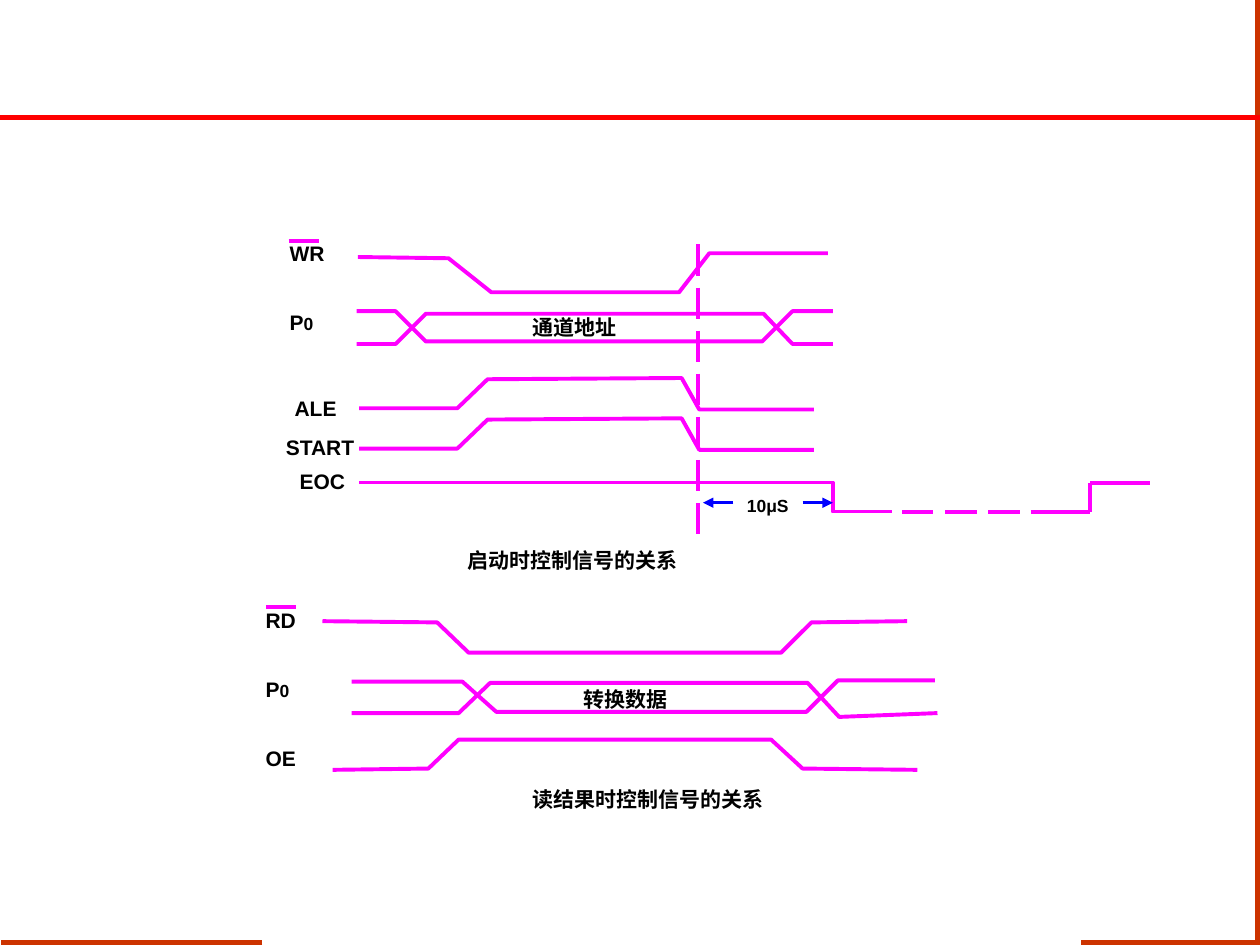
from pptx import Presentation
from pptx.dml.color import RGBColor
from pptx.enum.dml import MSO_LINE
from pptx.enum.shapes import MSO_CONNECTOR
from pptx.enum.text import MSO_AUTO_SIZE
from pptx.oxml.ns import qn
from pptx.util import Inches, Pt
from lxml import etree

STRAIGHT = MSO_CONNECTOR.STRAIGHT
LONG_DASH = MSO_LINE.LONG_DASH
GROW = MSO_AUTO_SIZE.SHAPE_TO_FIT_TEXT

THEME = {
    "font": "Arial",
    "text": RGBColor(0x00, 0x00, 0x00),
    "signal": (RGBColor(0xFF, 0x00, 0xFF), 2.25),
    "arrow": (RGBColor(0x00, 0x00, 0xFF), 1.5),
    "frame": (RGBColor(0xCC, 0x33, 0x00), 3),
    "rule": (RGBColor(0xFF, 0x00, 0x00), 3),
    "size": 12,
    "small": 10,
}
SIZE, SMALL = THEME["size"], THEME["small"]

# style, start x, start y, end x, end y
FRAME_LINES = [
    ("frame", 2.08, 7.48, 0.01, 7.48),
    ("frame", 9.98, 7.5, 9.98, 0),
    ("frame", 9.96, 7.48, 8.58, 7.48),
    ("rule", 10, 0.93, 0, 0.93),
]
OVERBARS = [
    ("signal", 2.29, 1.91, 2.53, 1.91),
    ("signal", 2.11, 4.82, 2.35, 4.82),
]
EOC_END = [
    ("signal", 8.18, 4.06, 8.65, 4.06),
    ("signal", 8.65, 3.83, 8.65, 4.06),
    ("signal", 8.65, 3.83, 9.13, 3.83),
]
DASHED_LINES = [
    ("signal", 7.16, 4.06, 8.1, 4.06),
    ("signal", 5.54, 1.94, 5.54, 4.3),
]
DELAY_ARROWS = [
    ("arrow", 5.82, 3.99, 5.58, 3.99),
    ("arrow", 6.37, 3.99, 6.61, 3.99),
]

ALE = [(2.85, 3.24), (3.63, 3.24), (3.87, 3.01), (5.41, 3), (5.55, 3.25), (6.46, 3.25)]
START_DROP = 0.32
WAVES = [
    # start of conversion: WR, P0 falling and rising, ALE, START, EOC
    [(2.84, 2.04), (3.56, 2.05), (3.9, 2.32), (5.39, 2.32), (5.63, 2.01), (6.57, 2.01)],
    [(2.83, 2.47), (3.14, 2.47), (3.38, 2.71), (6.05, 2.71), (6.29, 2.47), (6.61, 2.47)],
    [(2.83, 2.73), (3.14, 2.73), (3.38, 2.49), (6.06, 2.49), (6.29, 2.73), (6.61, 2.73)],
    ALE,
    [(x, y + START_DROP) for x, y in ALE],
    [(2.85, 3.83), (6.61, 3.83), (6.61, 4.06), (7.08, 4.06)],
    # reading the result: RD, P0 falling and rising, OE
    [(2.56, 4.93), (3.47, 4.94), (3.72, 5.18), (6.2, 5.18), (6.44, 4.94), (7.2, 4.93)],
    [(2.79, 5.41), (3.67, 5.41), (3.94, 5.65), (6.4, 5.65), (6.65, 5.4), (7.42, 5.4)],
    [(2.79, 5.66), (3.64, 5.66), (3.89, 5.42), (6.41, 5.42), (6.66, 5.69), (7.44, 5.66)],
    [(2.64, 6.11), (3.4, 6.1), (3.64, 5.87), (6.12, 5.87), (6.37, 6.1), (7.28, 6.11)],
]

PORT = [("P", SIZE), ("0", SMALL)]
# left, top, width, runs
LABELS = [
    (2.2, 1.86, 0.48, [("WR", SIZE)]),
    (2.2, 2.41, 0.39, PORT),
    (2.24, 3.09, 0.53, [("ALE", SIZE)]),
    (2.17, 3.4, 0.75, [("START", SIZE)]),
    (2.28, 3.67, 0.56, [("EOC", SIZE)]),
    (4.13, 2.45, 0.88, [("通道地址", SIZE)]),
    (5.83, 3.88, 0.53, [("10μS", SMALL)]),
    (3.61, 4.3, 1.88, [("启动时控制信号的关系", SIZE)]),
    (2.01, 4.77, 0.44, [("RD", SIZE)]),
    (2.01, 5.32, 0.39, PORT),
    (2.01, 5.87, 0.44, [("OE", SIZE)]),
    (4.53, 5.4, 0.88, [("转换数据", SIZE)]),
    (4.13, 6.19, 2.05, [("读结果时控制信号的关系", SIZE)]),
]


def set_line(line, style):
    color, width = THEME[style]
    line.color.rgb = color
    line.width = Pt(width)


def add_line(slide, style, x1, y1, x2, y2, dash=None, arrow=False):
    ends = [Inches(v) for v in (x1, y1, x2, y2)]
    sp = slide.shapes.add_connector(STRAIGHT, *ends)
    set_line(sp.line, style)
    if dash is not None:
        sp.line.dash_style = dash
    if arrow:
        etree.SubElement(sp.line._get_or_add_ln(), qn("a:tailEnd"), type="triangle")
    etree.SubElement(sp._element.spPr, qn("a:effectLst"))


def add_wave(slide, points):
    start, *rest = [(Inches(x), Inches(y)) for x, y in points]
    builder = slide.shapes.build_freeform(*start)
    builder.add_line_segments(rest, close=False)
    sp = builder.convert_to_shape()
    sp.fill.background()
    set_line(sp.line, "signal")
    sp.shadow.inherit = False


def add_label(slide, left, top, width, runs):
    height = 0.3 if runs[0][1] == SIZE else 0.27
    box = slide.shapes.add_textbox(Inches(left), Inches(top), Inches(width), Inches(height))
    tf = box.text_frame
    tf.word_wrap = False
    tf.auto_size = GROW
    p = tf.paragraphs[0]
    for text, size in runs:
        r = p.add_run()
        r.text = text
        r.font.name = THEME["font"]
        r.font.size = Pt(size)
        r.font.bold = True
        r.font.color.rgb = THEME["text"]


def main():
    prs = Presentation()
    prs.slide_width, prs.slide_height = Inches(10), Inches(7.5)
    slide = prs.slides.add_slide(prs.slide_layouts[6])
    for line in FRAME_LINES + OVERBARS + EOC_END:
        add_line(slide, *line)
    for points in WAVES:
        add_wave(slide, points)
    for line in DASHED_LINES:
        add_line(slide, *line, dash=LONG_DASH)
    for line in DELAY_ARROWS:
        add_line(slide, *line, arrow=True)
    for label in LABELS:
        add_label(slide, *label)
    prs.save("out.pptx")


if __name__ == "__main__":
    main()
